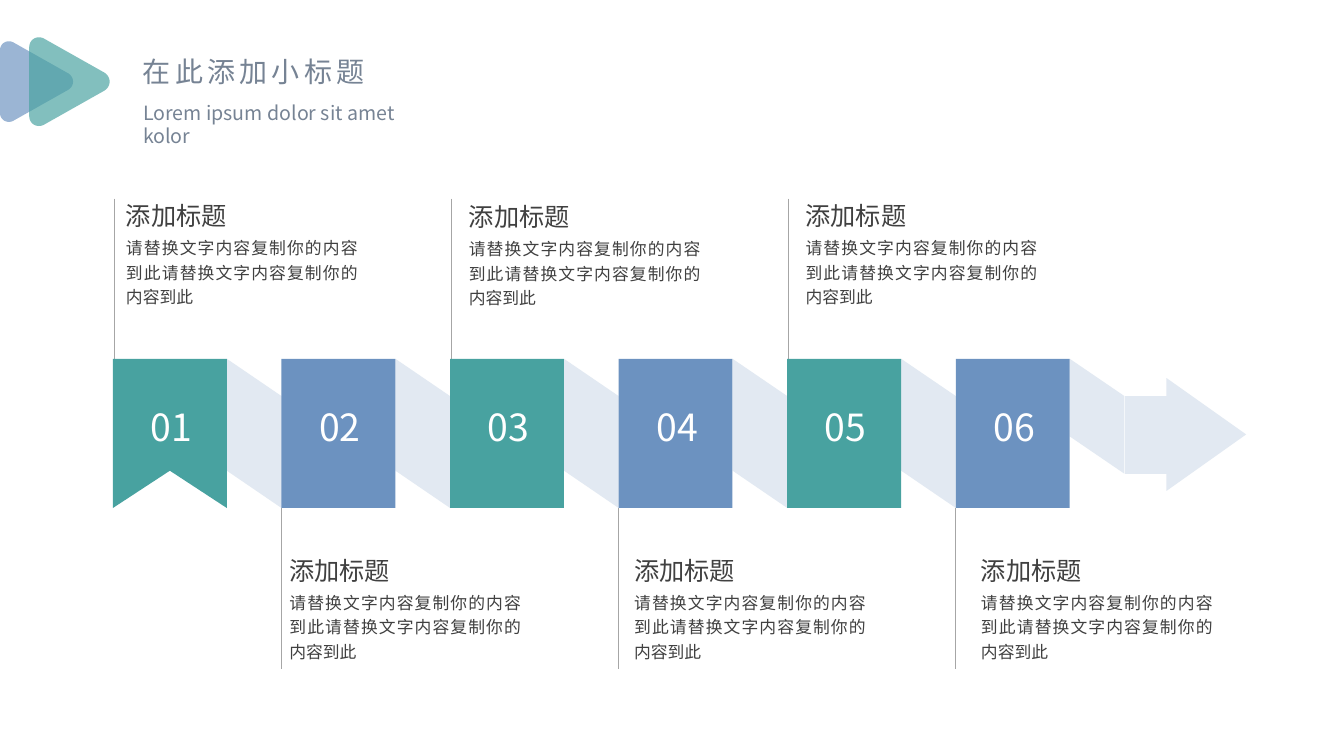
from dataclasses import dataclass

import lxml.etree
import pptx
import pptx.dml.color
import pptx.enum.shapes
import pptx.enum.text
import pptx.oxml.ns
import pptx.util

Inches = pptx.util.Inches
Pt = pptx.util.Pt
RGBColor = pptx.dml.color.RGBColor
ALIGN = pptx.enum.text.PP_ALIGN
ANCHOR = pptx.enum.text.MSO_ANCHOR
qn = pptx.oxml.ns.qn

TEAL = RGBColor(0x48, 0xA2, 0xA0)
BLUE = RGBColor(0x6C, 0x92, 0xC0)
PALE = RGBColor(0xE2, 0xE9, 0xF2)
SLATE = RGBColor(0x76, 0x83, 0x94)
DARK = RGBColor(0x40, 0x40, 0x40)
GREY = RGBColor(0xA6, 0xA6, 0xA6)
WHITE = RGBColor(0xFF, 0xFF, 0xFF)
FONT = "Noto Sans CJK SC"

TILE_W, TILE_H = 1.13, 1.48
FIRST_X, LAST_X, TILE_TOP = 1.12, 9.48, 3.56
STEP_COUNT = 6
PITCH = (LAST_X - FIRST_X) / (STEP_COUNT - 1)
FOLD_DROP, RIBBON_H = 0.37, 1.11
TAIL_H = 0.77
LEADER_H = 1.6
BODY = "请替换文字内容复制你的内容到此请替换文字内容复制你的内容到此"

Point = tuple[float, float]
# Corners of the rounded triangle: start, two curve controls, end
TRIANGLE: list[tuple[Point, Point, Point, Point]] = [
    ((0.13, -0.39), (0.07, -0.42), (0, -0.38), (0, -0.31)),
    ((0, 0.31), (0, 0.38), (0.07, 0.42), (0.13, 0.39)),
    ((0.68, 0.08), (0.74, 0.04), (0.74, -0.04), (0.68, -0.08)),
]


@dataclass
class Line:
    """One paragraph of text with its format."""
    text: str
    size: float
    color: RGBColor
    tracking: float = 0
    para: dict | None = None


@dataclass
class Step:
    number: str
    color: RGBColor
    text_x: float
    text_y: float
    above: bool


STEPS = [
    Step("01", TEAL, 1.12, 1.86, True),
    Step("02", BLUE, 2.74, 5.38, False),
    Step("03", TEAL, 4.52, 1.87, True),
    Step("04", BLUE, 6.16, 5.38, False),
    Step("05", TEAL, 7.86, 1.86, True),
    Step("06", BLUE, 9.6, 5.38, False),
]


def apply(obj, values: dict) -> None:
    for name, value in values.items():
        setattr(obj, name, value)


def paint(sp, color: RGBColor) -> None:
    sp.shadow.inherit = False
    sp.fill.solid()
    sp.fill.fore_color.rgb = color
    sp.line.fill.background()


def add_outline(s, points: list[Point], color: RGBColor):
    """Draw a closed filled polygon through points given in inches."""
    corners = [(Inches(x), Inches(y)) for x, y in points]
    builder = s.shapes.build_freeform(*corners[0], scale=1.0)
    builder.add_line_segments(corners[1:], close=True)
    sp = builder.convert_to_shape()
    paint(sp, color)
    return sp


def add_triangle(s, left: float, scale: float, color: RGBColor) -> None:
    """Draw a translucent rounded triangle that points right."""
    points = []
    for corner in TRIANGLE:
        for n in range(13):
            t = n / 12
            weights = ((1 - t) ** 3, 3 * t * (1 - t) ** 2, 3 * t * t * (1 - t), t ** 3)
            x, y = (sum(w * c[axis] for w, c in zip(weights, corner)) for axis in (0, 1))
            points.append((left + scale * x, 0.81 + scale * y))
    sp = add_outline(s, points, color)
    clr = sp._element.spPr.find(qn("a:solidFill"))[0]
    lxml.etree.SubElement(clr, qn("a:alpha"), val="68000")


def add_text(s, box: tuple[float, float, float, float], lines: list[Line],
             frame: dict | None = None) -> None:
    tf = s.shapes.add_textbox(*map(Inches, box)).text_frame
    apply(tf, {"word_wrap": True} | (frame or {}))
    for i, line in enumerate(lines):
        p = tf.add_paragraph() if i else tf.paragraphs[0]
        apply(p, line.para or {})
        r = p.add_run()
        r.text = line.text
        apply(r.font, {"size": Pt(line.size), "name": FONT})
        r.font.color.rgb = line.color
        rpr = r._r.get_or_add_rPr()
        lxml.etree.SubElement(rpr, qn("a:ea"), typeface=FONT)
        if line.tracking:
            rpr.set("spc", str(round(line.tracking * 100)))


def add_leader(s, x: float, top: float) -> None:
    """Draw the thin vertical line between a tile and its text."""
    line = s.shapes.add_connector(pptx.enum.shapes.MSO_CONNECTOR.STRAIGHT,
                                  Inches(x), Inches(top), Inches(x), Inches(top + LEADER_H))
    line.line.color.rgb = GREY
    line.line.width = Pt(0.5)
    lxml.etree.SubElement(line._element.spPr, qn("a:effectLst"))


def add_fold(s, left: float, height: float) -> None:
    """Draw the slanted ribbon piece to the right of a tile."""
    right = left + PITCH - TILE_W
    low = TILE_TOP + FOLD_DROP
    add_outline(s, [(left, TILE_TOP), (right, low), (right, low + height),
                    (left, TILE_TOP + height)], PALE)


def add_tile(s, index: int, step: Step) -> None:
    x = FIRST_X + index * PITCH
    bottom = TILE_TOP + TILE_H
    if index == 0:
        add_outline(s, [(x, TILE_TOP), (x + TILE_W, TILE_TOP), (x + TILE_W, bottom),
                        (x + TILE_W / 2, bottom - FOLD_DROP), (x, bottom)], step.color)
    else:
        sp = s.shapes.add_shape(pptx.enum.shapes.MSO_SHAPE.RECTANGLE,
                                *map(Inches, (x, TILE_TOP, TILE_W, TILE_H)))
        paint(sp, step.color)
    add_text(s, (x - 0.12, 3.74, 1.4, 0.99),
             [Line(step.number, 26.7, WHITE, para={"alignment": ALIGN.CENTER})],
             {"vertical_anchor": ANCHOR.MIDDLE})


def add_caption(s, step: Step) -> None:
    para = {"alignment": ALIGN.JUSTIFY, "line_spacing": 1.2}
    insets = {"margin_left": Inches(0.13), "margin_right": Inches(0.13),
              "margin_top": Inches(0.07), "margin_bottom": Inches(0.07)}
    add_text(s, (step.text_x, step.text_y, 2.56, 1.36),
             [Line("添加标题", 18, DARK, para=para),
              Line(BODY, 12, DARK, para=para | {"space_before": Pt(2.4)})], insets)


def main() -> None:
    prs = pptx.Presentation()
    apply(prs, {"slide_width": Inches(13.33), "slide_height": Inches(7.5)})
    s = prs.slides.add_slide(prs.slide_layouts[6])

    add_text(s, (1.32, 0.49, 2.46, 0.44), [Line("在此添加小标题", 20, SLATE, tracking=3)],
             {"word_wrap": False})
    add_text(s, (1.32, 0.95, 3.19, 0.34), [Line("Lorem ipsum dolor sit amet kolor", 14, SLATE)])
    add_triangle(s, 0, 1, BLUE)
    add_triangle(s, 0.29, 1.1, TEAL)

    for i, step in enumerate(STEPS):
        x = FIRST_X + i * PITCH
        if step.above:
            add_leader(s, x + 0.01, TILE_TOP - LEADER_H + 0.01)
        else:
            add_leader(s, x, TILE_TOP + TILE_H)
        add_fold(s, x + TILE_W, TAIL_H if i == STEP_COUNT - 1 else RIBBON_H)
    add_outline(s, [(11.16, 3.93), (11.57, 3.93), (11.57, 3.75), (12.36, 4.31),
                    (11.57, 4.87), (11.57, 4.7), (11.16, 4.7)], PALE)
    for i, step in enumerate(STEPS):
        add_tile(s, i, step)
        add_caption(s, step)

    prs.save("out.pptx")


if __name__ == "__main__":
    main()
